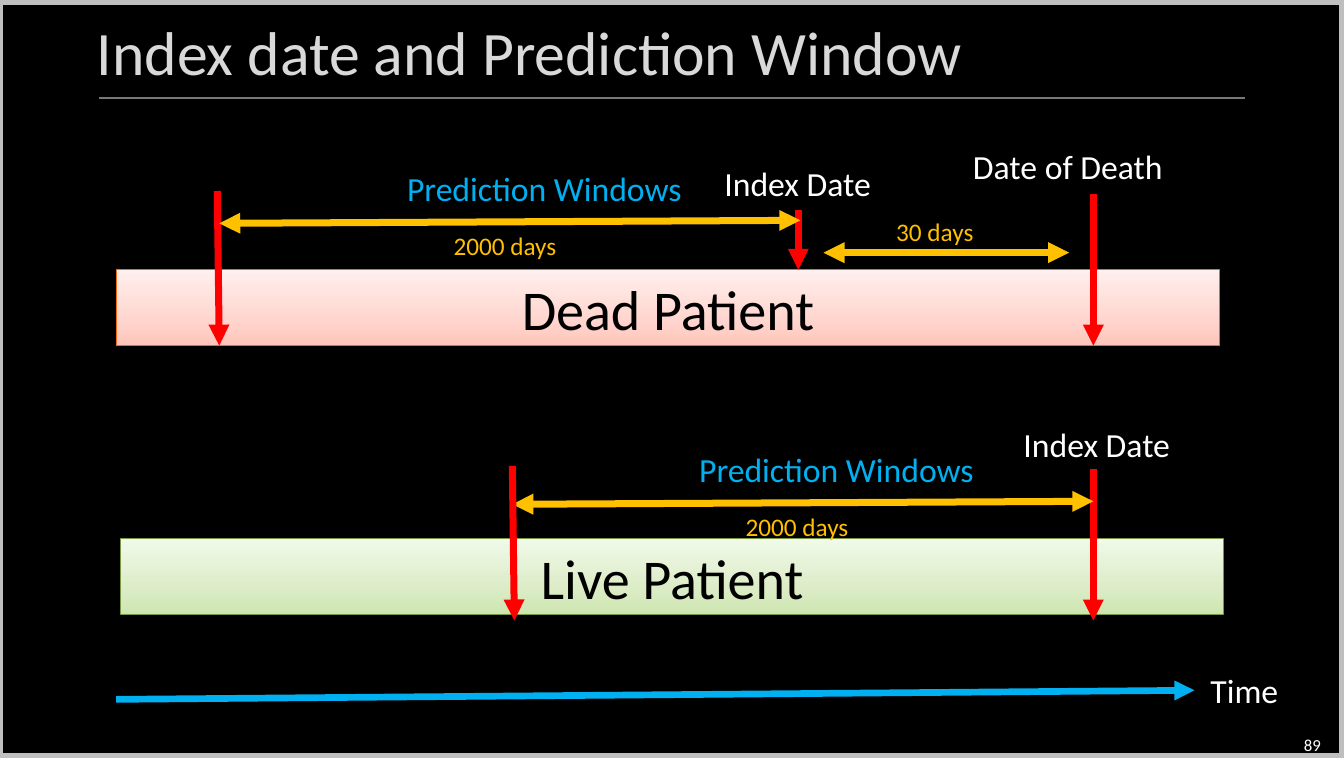
"""Build a slide comparing index dates and prediction windows of two patients."""
import copy

import pptx
import pptx.dml.color
import pptx.enum.shapes
import pptx.enum.text
import pptx.oxml
import pptx.oxml.ns
import pptx.util

Inches = pptx.util.Inches
Pt = pptx.util.Pt
RGBColor = pptx.dml.color.RGBColor
ALIGN = pptx.enum.text.PP_ALIGN
ANCHOR = pptx.enum.text.MSO_ANCHOR
RECTANGLE = pptx.enum.shapes.MSO_SHAPE.RECTANGLE
STRAIGHT = pptx.enum.shapes.MSO_CONNECTOR.STRAIGHT

BLACK = RGBColor(0x00, 0x00, 0x00)
WHITE = RGBColor(0xFF, 0xFF, 0xFF)
TITLE_GREY = RGBColor(0xD9, 0xD9, 0xD9)
FRAME_GREY = RGBColor(0xBF, 0xBF, 0xBF)
RULE_GREY = RGBColor(0x76, 0x78, 0x7B)
RED = RGBColor(0xFF, 0x00, 0x00)
AMBER = RGBColor(0xFF, 0xC0, 0x00)
BLUE = RGBColor(0x00, 0xB0, 0xF0)
ORANGE = RGBColor(0xF9, 0x66, 0x15)
GREEN = RGBColor(0x7A, 0x97, 0x46)
PINKS = (RGBColor(0xFF, 0xC5, 0xBA), RGBColor(0xFF, 0xD6, 0xCF), RGBColor(0xFF, 0xEF, 0xED))
GREENS = (RGBColor(0xCD, 0xE6, 0xAF), RGBColor(0xDC, 0xEC, 0xC7), RGBColor(0xF1, 0xF9, 0xE9))

FONT = "Calibri"
BAR_SIZE = (10.92, 0.75)
GRADIENT_POSITIONS = (0, 35, 100)
LABEL_HEIGHTS = {24: 0.5, 18: 0.4}

PATIENT_BARS = [
    ("Dead Patient", 1.15, 2.67, PINKS, ORANGE),
    ("Live Patient", 1.19, 5.33, GREENS, GREEN),
]
DATE_ARROWS = [
    ((10.82, 1.92), (10.82, 3.42)),
    ((7.9, 2.08), (7.9, 2.67)),
    ((2.15, 1.89), (2.17, 3.42)),
    ((10.82, 4.64), (10.82, 6.14)),
]
SPAN_ARROWS = [
    ((8.15, 2.5), (10.58, 2.5)),
    ((2.17, 2.21), (7.92, 2.18)),
    ((5.07, 4.99), (10.82, 4.96)),
]
LIVE_START_ARROW = ((5.07, 4.61), (5.09, 6.14))
TIME_ARROW = ((1.15, 6.92), (11.82, 6.83))
LABELS = [
    ("Date of Death", 9.53, 1.39, 2.1, 24, WHITE),
    ("Index Date", 7.07, 1.56, 1.67, 24, WHITE),
    ("Index Date", 10.03, 4.14, 1.67, 24, WHITE),
    ("Prediction Windows", 3.93, 1.61, 2.95, 24, BLUE),
    ("Prediction Windows", 6.82, 4.39, 2.95, 24, BLUE),
    ("2000 days", 4.39, 2.23, 1.23, 18, AMBER),
    ("2000 days", 7.28, 5.01, 1.23, 18, AMBER),
    ("30 days", 8.77, 2.09, 0.98, 18, AMBER),
    ("Time", 11.88, 6.58, 0.88, 24, WHITE),
]


def write_text(shape, text, size, color, align, anchor, wrap=True):
    frame = shape.text_frame
    frame.text = text
    frame.word_wrap = wrap
    frame.vertical_anchor = anchor
    paragraph = frame.paragraphs[0]
    paragraph.alignment = align
    font = paragraph.runs[0].font
    font.name, font.size = FONT, Pt(size)
    font.color.rgb = color


def add_text(slide, box, text, size, color, align=ALIGN.LEFT, anchor=ANCHOR.MIDDLE, wrap=True):
    shape = slide.shapes.add_textbox(*map(Inches, box))
    write_text(shape, text, size, color, align, anchor, wrap)


def add_rectangle(slide, box, line_color, line_width):
    shape = slide.shapes.add_shape(RECTANGLE, *map(Inches, box))
    shape.shadow.inherit = False
    shape.line.color.rgb = line_color
    shape.line.width = Pt(line_width)
    return shape


def add_line(slide, start, end, color, width, arrowheads=()):
    connector = slide.shapes.add_connector(STRAIGHT, *map(Inches, start + end))
    connector.line.color.rgb = color
    connector.line.width = Pt(width)
    line_element = connector.line._get_or_add_ln()
    for arrowhead in arrowheads:
        pptx.oxml.ns.qn("a:ln")
        element = line_element.makeelement(pptx.oxml.ns.qn(arrowhead), {"type": "triangle"})
        line_element.append(element)
    properties = connector._element.spPr
    properties.append(properties.makeelement(pptx.oxml.ns.qn("a:effectLst"), {}))


def fill_gradient(shape, colors):
    shape.fill.gradient()
    shape.fill.gradient_angle = 90
    first_stop = shape._element.spPr.find(".//" + pptx.oxml.ns.qn("a:gs"))
    first_stop.addnext(copy.deepcopy(first_stop))
    for stop, position, color in zip(shape.fill.gradient_stops, GRADIENT_POSITIONS, colors):
        stop.position = position / 100
        stop.color.rgb = color


def main():
    presentation = pptx.Presentation()
    presentation.slide_width, presentation.slide_height = Inches(13.3), Inches(7.5)
    slide = presentation.slides.add_slide(presentation.slide_layouts[6])
    slide.background.fill.solid()
    slide.background.fill.fore_color.rgb = BLACK

    frame = add_rectangle(slide, (-0.02, 0, 13.32, 7.5), FRAME_GREY, 7.25)
    frame.fill.background()
    add_text(slide, (0.86, 0, 11.46, 1), "Index date and Prediction Window", 44, TITLE_GREY)
    add_line(slide, (0.98, 0.97), (12.32, 0.97), RULE_GREY, 0.75)
    add_text(slide, (10.07, 7.17, 3.1, 0.4), "89", 12, WHITE, ALIGN.RIGHT)

    for name, left, top, colors, border in PATIENT_BARS:
        bar = add_rectangle(slide, (left, top) + BAR_SIZE, border, 0.75)
        fill_gradient(bar, colors)
        write_text(bar, name, 40, BLACK, ALIGN.CENTER, ANCHOR.MIDDLE)

    for start, end in DATE_ARROWS:
        add_line(slide, start, end, RED, 5, ["a:tailEnd"])
    for start, end in SPAN_ARROWS:
        add_line(slide, start, end, AMBER, 5, ["a:headEnd", "a:tailEnd"])
    add_line(slide, *LIVE_START_ARROW, RED, 5, ["a:tailEnd"])
    add_line(slide, *TIME_ARROW, BLUE, 4.75, ["a:tailEnd"])

    for text, left, top, width, size, color in LABELS:
        box = (left, top, width, LABEL_HEIGHTS[size])
        add_text(slide, box, text, size, color, anchor=ANCHOR.TOP, wrap=False)

    presentation.save("out.pptx")


if __name__ == "__main__":
    main()
